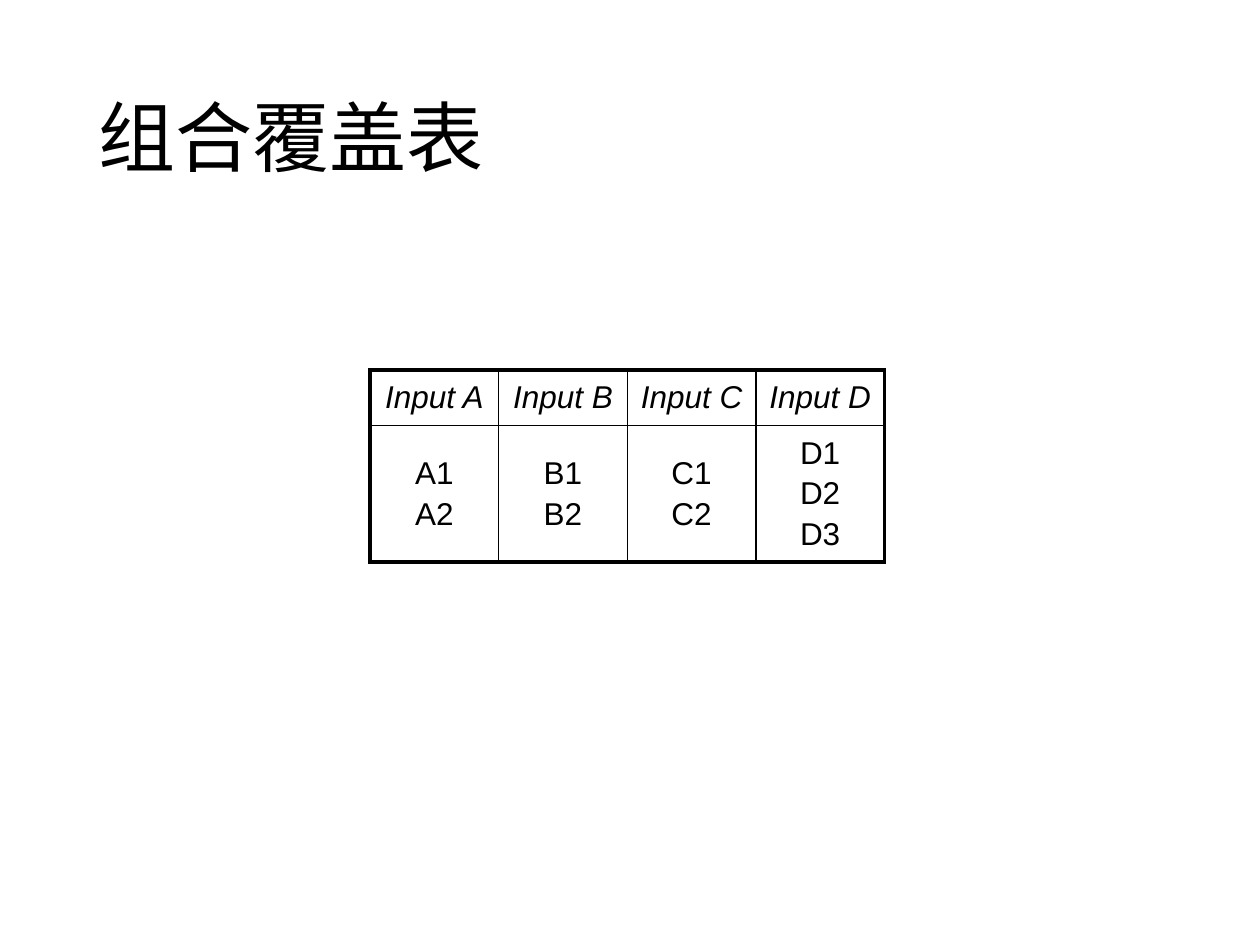
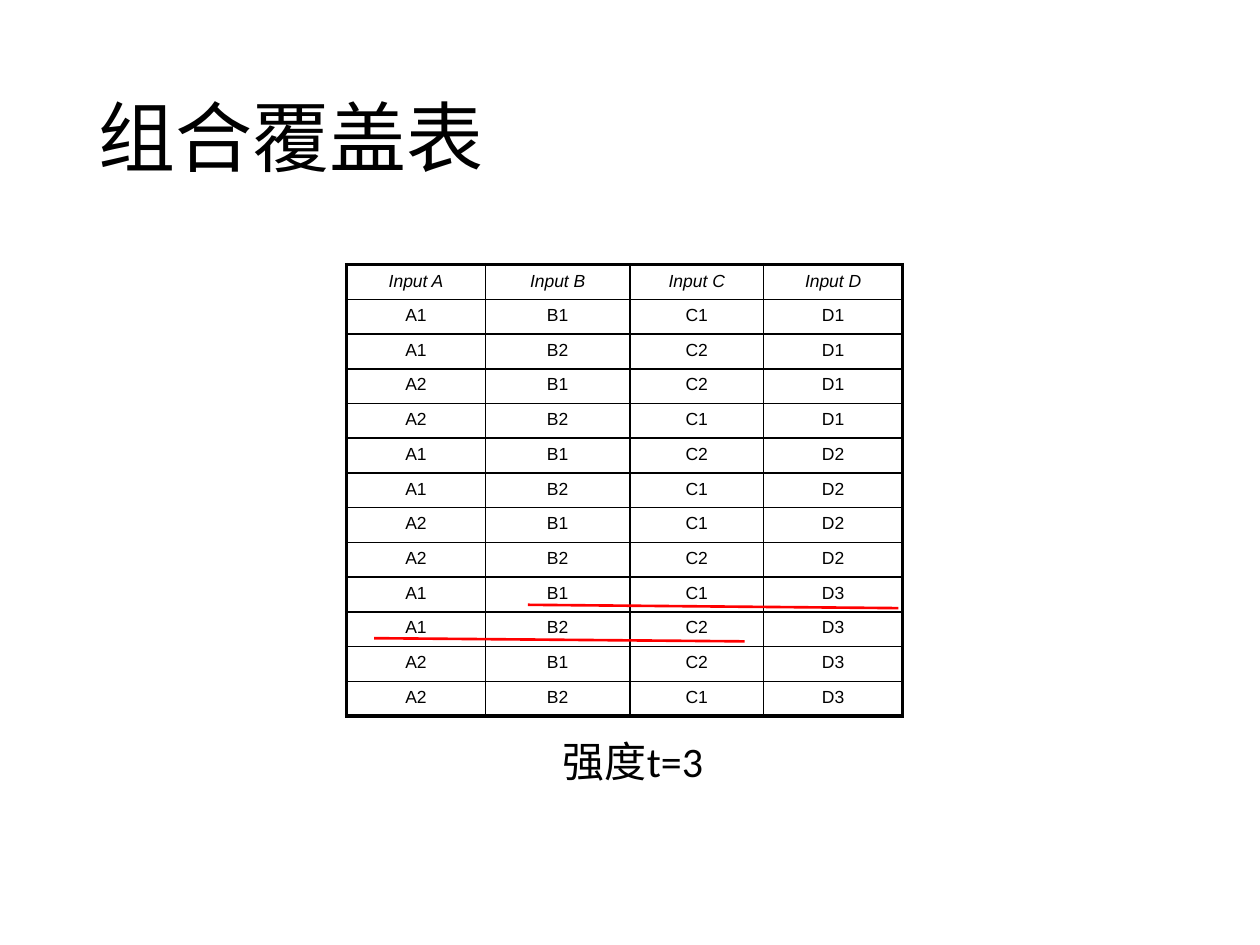
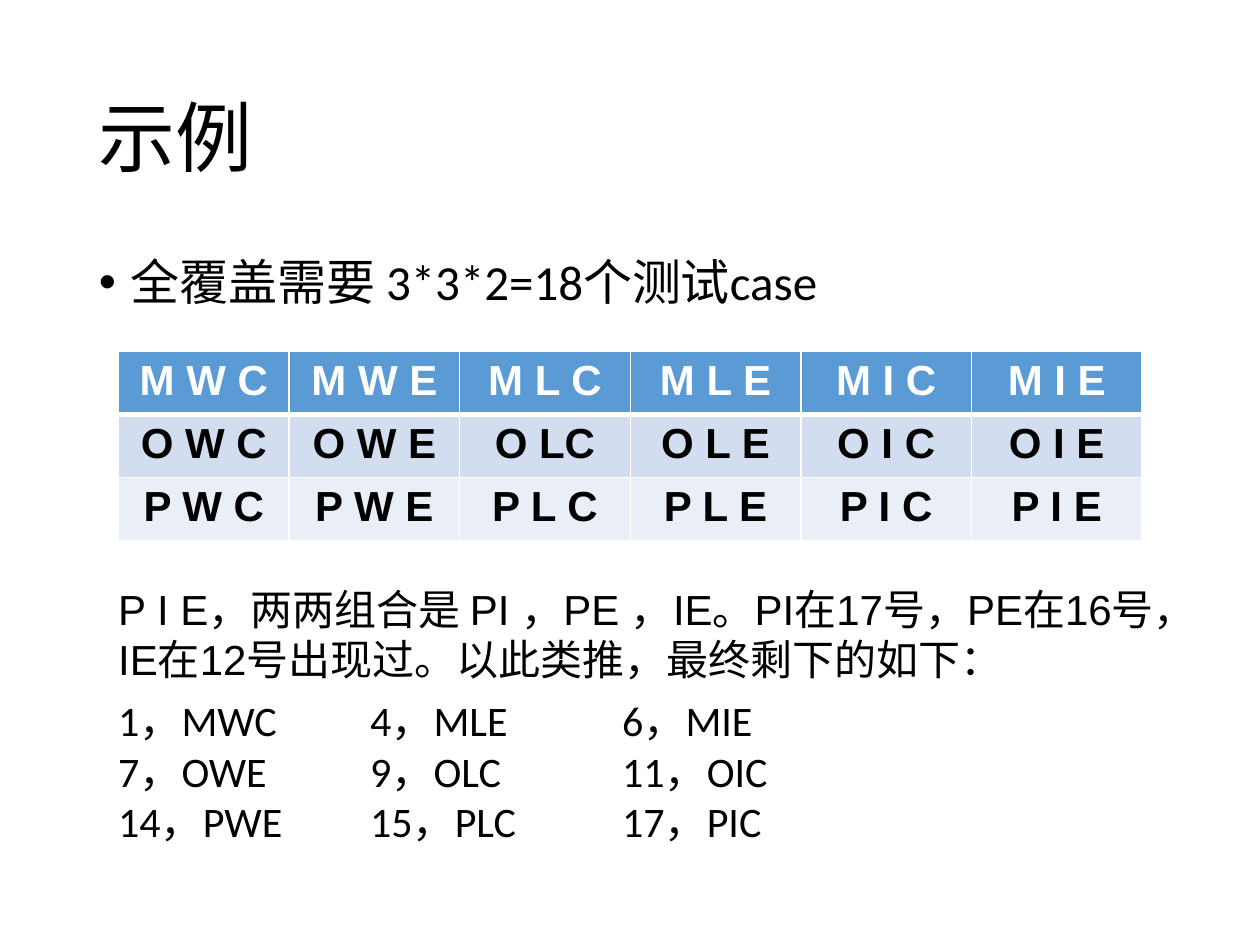
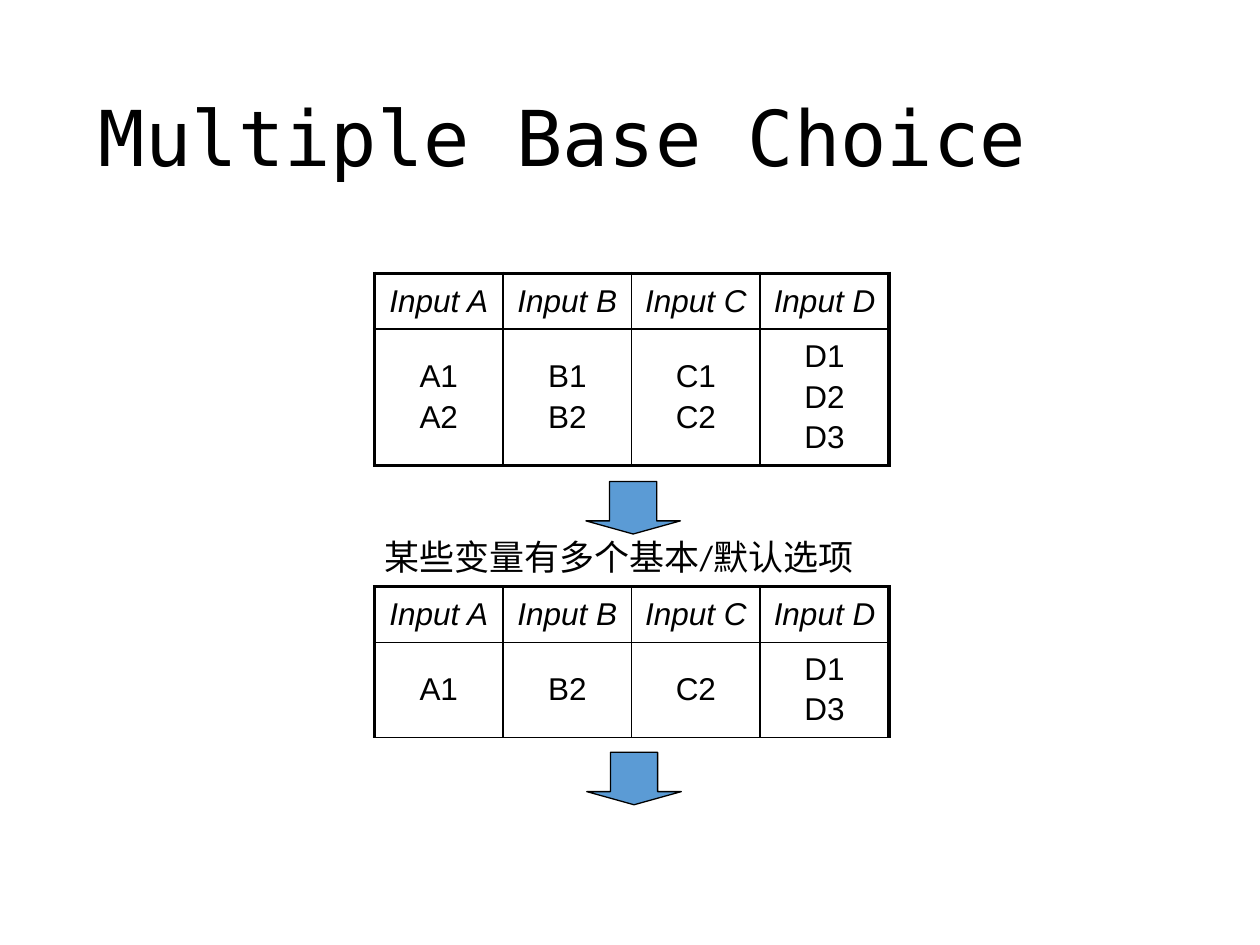
from dataclasses import dataclass
from itertools import product

from lxml import etree
from pptx import Presentation
from pptx.dml.color import RGBColor
from pptx.enum.shapes import MSO_CONNECTOR, MSO_SHAPE
from pptx.enum.text import MSO_ANCHOR, PP_ALIGN
from pptx.oxml.ns import qn
from pptx.util import Pt


@dataclass(frozen=True)
class Theme:
    ink: str = "000000"
    paper: str = "FFFFFF"
    accent: str = "5B9BD5"
    band_dark: str = "D2DEEF"
    band_light: str = "EAEFF7"
    mark: str = "FF0000"
    body_font: str = "Calibri"
    table_font: str = "Arial"
    mono_font: str = "DejaVu Sans Mono"
    title_size: float = 44
    bullet_size: float = 28
    text_size: float = 24
    caption_size: float = 20
    input_size: float = 18
    case_size: float = 10
    thin: float = 1
    thick: float = 2.25
    header_rule: float = 3


THEME = Theme()
INPUTS = ["Input A", "Input B", "Input C", "Input D"]
CHOICES = ["A1\nA2", "B1\nB2", "C1\nC2", "D1\nD2\nD3"]
BASE_CHOICES = ["A1", "B2", "C2", "D1\nD3"]


def rgb(color):
    return RGBColor.from_string(color)


def write(frame, text, size=THEME.text_size, font=THEME.body_font, color=THEME.ink,
          bold=False, italic=False, align=None, spacing=None, before=None,
          after=None, bullet=None, append=False):
    for index, line in enumerate(text.split("\n")):
        if index:
            paragraph = frame.add_paragraph()
            if before is not None:
                paragraph.space_before = Pt(before)
        else:
            paragraph = frame.paragraphs[-1]
        if align is not None:
            paragraph.alignment = align
        if spacing is not None:
            paragraph.line_spacing = spacing
        if after is not None:
            paragraph.space_after = Pt(after)
        if bullet:
            properties = paragraph._p.get_or_add_pPr()
            properties.set("marL", str(Pt(18)))
            properties.set("indent", str(Pt(-18)))
            etree.SubElement(properties, qn("a:buFont"), typeface=THEME.table_font)
            etree.SubElement(properties, qn("a:buChar"), char=bullet)
        run = paragraph.add_run()
        run.text = line
        run.font.size = Pt(size)
        run.font.name = font
        run.font.color.rgb = rgb(color)
        run.font.bold = bold
        run.font.italic = italic


def add_text(slide, box, text, wrap=True, anchor=MSO_ANCHOR.TOP, **style):
    frame = slide.shapes.add_textbox(*map(Pt, box)).text_frame
    frame.word_wrap = wrap
    frame.vertical_anchor = anchor
    write(frame, text, **style)
    return frame


def add_titled_slide(deck, title, font=THEME.body_font):
    slide = deck.slides.add_slide(deck.slide_layouts[6])
    add_text(slide, (49.5, 28.75, 621, 104.4), title, anchor=MSO_ANCHOR.MIDDLE,
             size=THEME.title_size, font=font, spacing=0.9)
    return slide


def set_borders(cell, color, widths):
    properties = cell._tc.get_or_add_tcPr()
    for index, (side, width) in enumerate(zip("LRTB", widths)):
        border = etree.Element(qn(f"a:ln{side}"), w=str(Pt(width)))
        fill = etree.SubElement(border, qn("a:solidFill"))
        etree.SubElement(fill, qn("a:srgbClr"), val=color)
        properties.insert(index, border)


def add_grid(slide, left, top, widths, heights):
    table = slide.shapes.add_table(len(heights), len(widths), Pt(left), Pt(top),
                                   Pt(sum(widths)), Pt(sum(heights))).table
    table.first_row = table.horz_banding = False
    for column, width in zip(table.columns, widths):
        column.width = Pt(width)
    for row, height in zip(table.rows, heights):
        row.height = Pt(height)
    return table


def add_framed_table(slide, left, top, widths, heights, rows, size,
                     body_anchor=MSO_ANCHOR.MIDDLE, bottom=THEME.thick):
    table = add_grid(slide, left, top, widths, heights)
    last_row, last_column = len(rows) - 1, len(widths) - 1
    for r, c in product(range(len(rows)), range(len(widths))):
        cell = table.cell(r, c)
        cell.fill.background()
        cell.vertical_anchor = body_anchor if r else MSO_ANCHOR.MIDDLE
        write(cell.text_frame, rows[r][c], size=size, font=THEME.table_font,
              italic=r == 0, align=PP_ALIGN.CENTER, before=3)
        set_borders(cell, THEME.ink, (
            THEME.thick if c == 0 else THEME.thin,
            THEME.thick if c == last_column else THEME.thin,
            THEME.thick if r == 0 else THEME.thin,
            bottom if r == last_row else THEME.thin))


def add_input_table(slide, left, top, choices, choice_height, **options):
    add_framed_table(slide, left, top, [73.5] * 4, [31.7, choice_height],
                     [INPUTS, choices], THEME.input_size, **options)


def add_banded_table(slide, left, top, widths, heights, rows):
    table = add_grid(slide, left, top, widths, heights)
    fills = [THEME.accent, THEME.band_dark, THEME.band_light]
    for r, c in product(range(len(rows)), range(len(widths))):
        cell = table.cell(r, c)
        cell.fill.solid()
        cell.fill.fore_color.rgb = rgb(fills[r])
        write(cell.text_frame, rows[r][c], font=THEME.table_font, bold=True,
              color=THEME.ink if r else THEME.paper, align=PP_ALIGN.CENTER)
        set_borders(cell, THEME.paper, (
            THEME.thin, THEME.thin,
            THEME.header_rule if r == 1 else THEME.thin,
            THEME.header_rule if r == 0 else THEME.thin))


def add_underline(slide, *ends):
    line = slide.shapes.add_connector(MSO_CONNECTOR.STRAIGHT, *map(Pt, ends))
    line.line.color.rgb = rgb(THEME.mark)
    line.line.width = Pt(1.5)
    etree.SubElement(line._element.spPr, qn("a:effectLst"))


def add_down_arrow(slide, left, top):
    arrow = slide.shapes.add_shape(MSO_SHAPE.DOWN_ARROW, Pt(left), Pt(top),
                                   Pt(54), Pt(30))
    arrow.shadow.inherit = False
    arrow.adjustments[0] = 0.5
    arrow.adjustments[1] = 0.25
    arrow.fill.solid()
    arrow.fill.fore_color.rgb = rgb(THEME.accent)
    arrow.line.color.rgb = rgb(THEME.ink)
    arrow.line.width = Pt(0.75)


def build_inputs(deck):
    slide = add_titled_slide(deck, "组合覆盖表")
    add_input_table(slide, 211.5, 211.5, CHOICES, 75.3)


def build_coverage(deck):
    slide = add_titled_slide(deck, "组合覆盖表")
    add_text(slide, (314.6, 416.9, 95, 36), "强度t=3")
    cases = """
        A1 B1 C1 D1
        A1 B2 C2 D1
        A2 B1 C2 D1
        A2 B2 C1 D1
        A1 B1 C2 D2
        A1 B2 C1 D2
        A2 B1 C1 D2
        A2 B2 C2 D2
        A1 B1 C1 D3
        A1 B2 C2 D3
        A2 B1 C2 D3
        A2 B2 C1 D3
    """
    rows = [INPUTS] + [case.split() for case in cases.strip().splitlines()]
    add_framed_table(slide, 198, 151.2, [79.4, 82.5, 76.5, 79.4],
                     [19.86] * len(rows), rows, THEME.case_size,
                     body_anchor=MSO_ANCHOR.TOP)
    add_underline(slide, 213.8, 364.7, 425.5, 366.5)
    add_underline(slide, 301.7, 345.6, 513.4, 347.5)


def build_example(deck):
    slide = add_titled_slide(deck, "示例")
    add_text(slide, (49.5, 143.75, 621, 342.6), "全覆盖需要 3*3*2=18个测试case",
             size=THEME.bullet_size, spacing=0.9, bullet="•")
    rows = [
        ["M W C", "M W E", "M L C", "M L E", "M I C", "M I E"],
        ["O W C", "O W E", "O LC", "O L E", "O I C", "O I E"],
        ["P W C", "P W E", "P L C", "P L E", "P I C", "P I E"],
    ]
    add_banded_table(slide, 67.7, 200.9, [97.5] * 6, [33.7] * 3, rows)
    remainder = add_text(
        slide, (60.5, 329.8, 621, 180.7),
        "P I E，两两组合是 PI ，PE ，IE。PI在17号，PE在16号，IE在12号出现过。以此类推，",
        font=THEME.table_font, after=6)
    write(remainder, "最终剩下的如下：\n"
          "1，MWC\t\t4，MLE\t\t6，MIE\n"
          "7，OWE\t\t9，OLC\t\t11，OIC\n"
          "14，PWE\t\t15，PLC\t\t17，PIC", append=True)


def build_base_choice(deck):
    slide = add_titled_slide(deck, "Multiple Base Choice", font=THEME.mono_font)
    add_input_table(slide, 214, 156.2, CHOICES, 75.3)
    add_down_arrow(slide, 334.8, 275.2)
    add_text(slide, (212.4, 302.4, 295.2, 31.5), "某些变量有多个基本/默认选项",
             wrap=False, size=THEME.caption_size)
    add_input_table(slide, 214, 335.3, BASE_CHOICES, 54.3, bottom=THEME.thin)
    add_down_arrow(slide, 335.3, 429.9)


def main():
    deck = Presentation()
    deck.slide_width, deck.slide_height = Pt(720), Pt(540)
    build_inputs(deck)
    build_coverage(deck)
    build_example(deck)
    build_base_choice(deck)
    deck.save("out.pptx")


if __name__ == "__main__":
    main()
